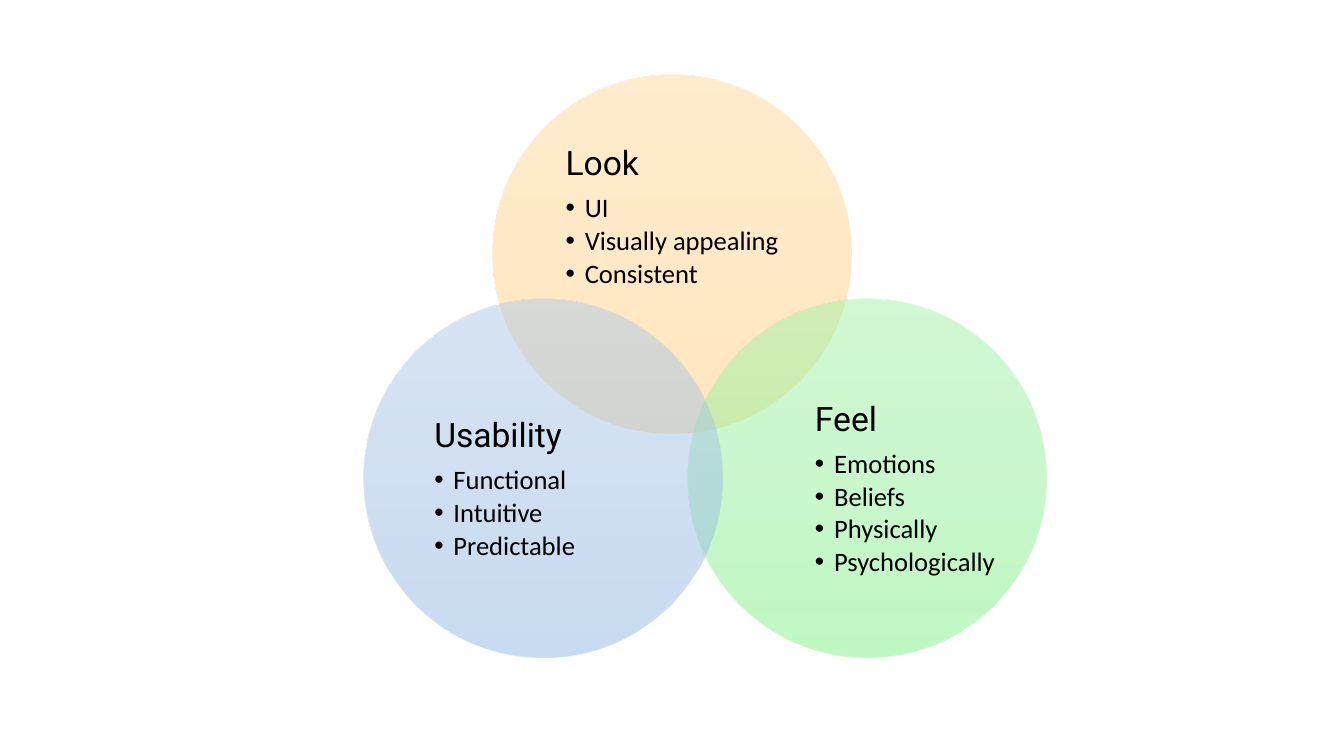
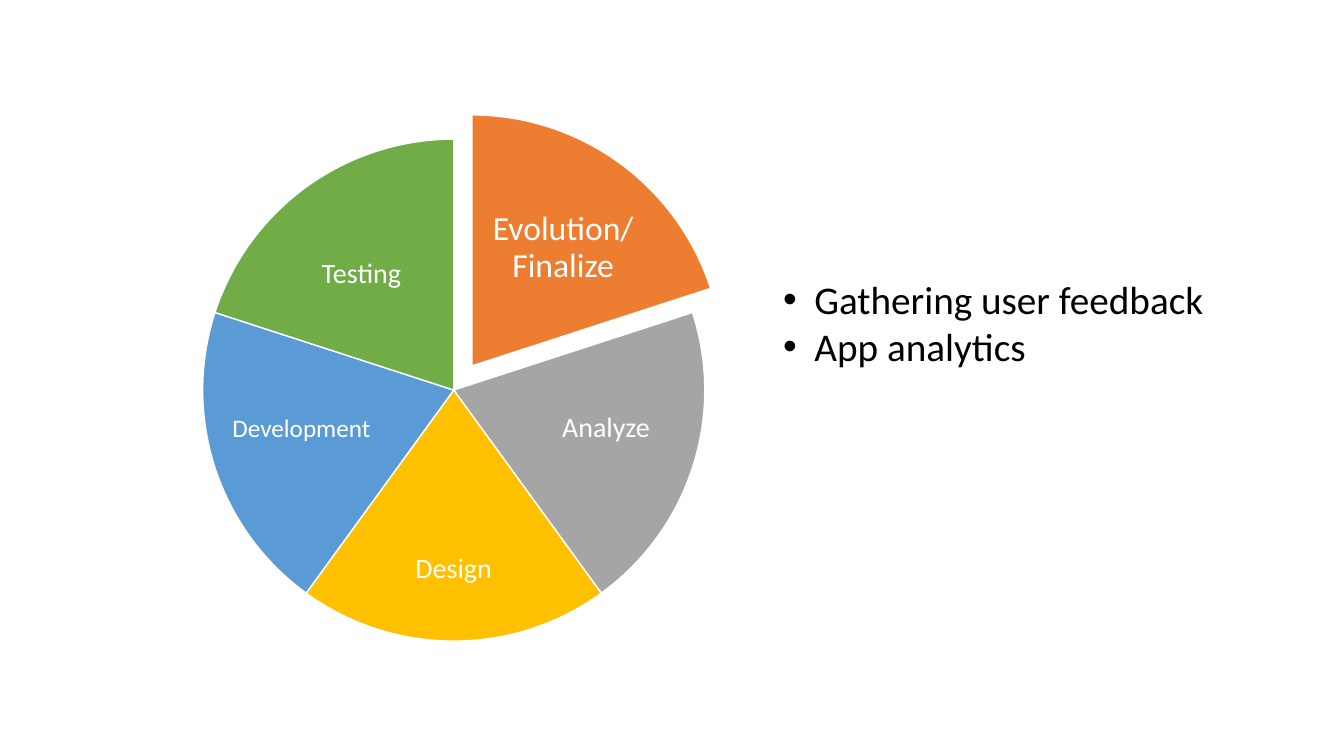
"""Build two slides: a three-circle Venn diagram and a pie of project phases."""
from typing import NamedTuple

import lxml.etree
import pptx
import pptx.dml.color
import pptx.enum.shapes
import pptx.enum.text
import pptx.oxml.ns
import pptx.util

RGBColor = pptx.dml.color.RGBColor
Shape = pptx.enum.shapes.MSO_SHAPE
Align = pptx.enum.text.PP_ALIGN
Pt = pptx.util.Pt
qn = pptx.oxml.ns.qn

BLACK = RGBColor(0x00, 0x00, 0x00)
WHITE = RGBColor(0xFF, 0xFF, 0xFF)
PEACH = (RGBColor(0xFF, 0xDB, 0x9E), RGBColor(0xFF, 0xD5, 0x90), RGBColor(0xFF, 0xD0, 0x7C))
MINT = (RGBColor(0xA4, 0xF4, 0xA9), RGBColor(0x96, 0xF1, 0x9B), RGBColor(0x82, 0xF3, 0x88))
SKY = (RGBColor(0xB1, 0xCB, 0xE9), RGBColor(0xA3, 0xC1, 0xE5), RGBColor(0x93, 0xB9, 0xE4))
ORANGE = RGBColor(0xED, 0x7D, 0x31)
GREY = RGBColor(0xA5, 0xA5, 0xA5)
GOLD = RGBColor(0xFF, 0xC0, 0x00)
BLUE = RGBColor(0x5B, 0x9B, 0xD5)
GREEN = RGBColor(0x70, 0xAD, 0x47)

WIDTH = pptx.util.Inches(13.33)
HEIGHT = pptx.util.Inches(7.5)
BODY = "Calibri"
HEAD = "Roboto"
TIGHT = 0.9


class Box(NamedTuple):
    """Centre and size, in percent of the slide's width and height."""
    mid: float
    level: float
    wide: float
    high: float

    def place(self) -> tuple[int, int, int, int]:
        """Return left, top, width and height in slide units."""
        left = (self.mid - self.wide / 2) * WIDTH / 100
        top = (self.level - self.high / 2) * HEIGHT / 100
        return round(left), round(top), round(self.wide * WIDTH / 100), round(self.high * HEIGHT / 100)


class Circle(NamedTuple):
    """One Venn circle with its heading and points."""
    mid: float
    level: float
    tints: tuple[RGBColor, ...]
    title: str
    points: tuple[str, ...]
    label: Box


class Slice(NamedTuple):
    """One pie slice with its label."""
    lines: tuple[str, ...]
    size: int
    color: RGBColor
    label: Box
    centre: tuple[float, float] = (33.76, 51.6)


CIRCLES = (
    Circle(50, 33.6, PEACH, "Look", ("UI", "Visually appealing", "Consistent"),
           Box(50, 28.8, 19.58, 21.33)),
    Circle(64.5, 63.2, MINT, "Feel", ("Emotions", "Beliefs", "Physically", "Psychologically"),
           Box(67.33, 64.8, 15.98, 26.13)),
    Circle(40.43, 63.2, SKY, "Usability", ("Functional", "Intuitive", "Predictable"),
           Box(37.55, 64.8, 15.98, 26.13)),
)
SLICES = (
    Slice(("Evolution/", "Finalize"), 24, ORANGE, Box(41.9, 32.8, 12.68, 15.47), (35.11, 48.4)),
    Slice(("Analyze",), 20, GREY, Box(45.09, 56.73, 11.1, 16.67)),
    Slice(("Design",), 20, GOLD, Box(33.76, 75.27, 13.35, 14.27)),
    Slice(("Development",), 18, BLUE, Box(22.43, 56.73, 11.1, 16.67)),
    Slice(("Testing",), 20, GREEN, Box(26.89, 36.27, 12.68, 15.47)),
)
NOTES = ("Gathering user feedback", "App analytics")


def add_round(slide, kind, mid: float, level: float, high: float):
    """Add an equal-sided shape without shadow around a centre."""
    box = Box(mid, level, high * HEIGHT / WIDTH, high)
    shape = slide.shapes.add_shape(kind, *box.place())
    shape.shadow.inherit = False
    return shape


def add_frame(slide, box: Box, inset: float | None = None):
    """Add a wrapping text box and return its text frame."""
    frame = slide.shapes.add_textbox(*box.place()).text_frame
    frame.word_wrap = True
    if inset is not None:
        frame.vertical_anchor = pptx.enum.text.MSO_ANCHOR.MIDDLE
        edge = pptx.util.Inches(inset)
        frame.margin_left = frame.margin_right = edge
        frame.margin_top = frame.margin_bottom = edge
    return frame


def next_para(frame, first: bool):
    """Return the frame's first paragraph or a new one."""
    return frame.paragraphs[0] if first else frame.add_paragraph()


def add_run(para, text: str, size: float, color: RGBColor, face: str = BODY) -> None:
    """Add one styled run to a paragraph."""
    run = para.add_run()
    run.text = text
    run.font.size = Pt(size)
    run.font.name = face
    run.font.color.rgb = color


def set_bullet(para, indent: float) -> None:
    """Give a paragraph a hanging round bullet."""
    props = para._p.get_or_add_pPr()
    step = pptx.util.Inches(indent)
    props.set("marL", str(step))
    props.set("indent", str(-step))
    lxml.etree.SubElement(props, qn("a:buFont")).set("typeface", "Arial")
    lxml.etree.SubElement(props, qn("a:buChar")).set("char", "•")


def set_fade(shape, tints: tuple[RGBColor, ...]) -> None:
    """Fill a shape with a half-transparent gradient from top to bottom."""
    shape.fill.gradient()
    shape.fill.gradient_angle = 270
    stops = shape._element.spPr.find(qn("a:gradFill")).find(qn("a:gsLst"))
    for old in list(stops):
        stops.remove(old)
    for spot, tint in enumerate(tints):
        stop = lxml.etree.SubElement(stops, qn("a:gs"))
        stop.set("pos", str(100000 * spot // (len(tints) - 1)))
        color = lxml.etree.SubElement(stop, qn("a:srgbClr"))
        color.set("val", str(tint))
        lxml.etree.SubElement(color, qn("a:alpha")).set("val", "50000")


def draw_venn(slide) -> None:
    """Draw the overlapping circles and their lists."""
    for item in CIRCLES:
        shape = add_round(slide, Shape.OVAL, item.mid, item.level, 47.47)
        set_fade(shape, item.tints)
        shape.line.fill.background()
        frame = add_frame(slide, item.label, 0)
        frame._txBody.bodyPr.set("anchorCtr", "1")
        title = next_para(frame, True)
        title.line_spacing = TIGHT
        title.space_after = Pt(8.4)
        add_run(title, item.title, 24, BLACK, HEAD)
        for point in item.points:
            para = next_para(frame, False)
            para.level = 1
            set_bullet(para, 0.19)
            para.line_spacing = TIGHT
            para.space_after = Pt(2.85)
            add_run(para, point, 19, BLACK)


def draw_pie(slide) -> None:
    """Draw the pie slices clockwise from the top, with labels and notes."""
    sweep = 360 / len(SLICES)
    for spot, item in enumerate(SLICES):
        shape = add_round(slide, Shape.PIE, *item.centre, 66.4)
        for side in range(2):
            angle = (270 + sweep * (spot + side)) % 360
            shape.adjustments[side] = angle * 0.6
        shape.fill.solid()
        shape.fill.fore_color.rgb = item.color
        shape.line.color.rgb = WHITE
        shape.line.width = Pt(1)
        para = next_para(add_frame(slide, item.label, 0.03), True)
        para.alignment = Align.CENTER
        para.line_spacing = TIGHT
        para.space_after = Pt(item.size * 0.35)
        for row, line in enumerate(item.lines):
            if row:
                para.add_line_break()
            add_run(para, line, item.size, WHITE)
    frame = add_frame(slide, Box(75.09, 42.67, 35.11, 13.87))
    for row, note in enumerate(NOTES):
        para = next_para(frame, row == 0)
        set_bullet(para, 0.31)
        add_run(para, note, 28, BLACK)


def main() -> None:
    """Build and save the deck."""
    deck = pptx.Presentation()
    deck.slide_width, deck.slide_height = WIDTH, HEIGHT
    for draw in (draw_venn, draw_pie):
        draw(deck.slides.add_slide(deck.slide_layouts[6]))
    deck.save("out.pptx")


if __name__ == "__main__":
    main()
